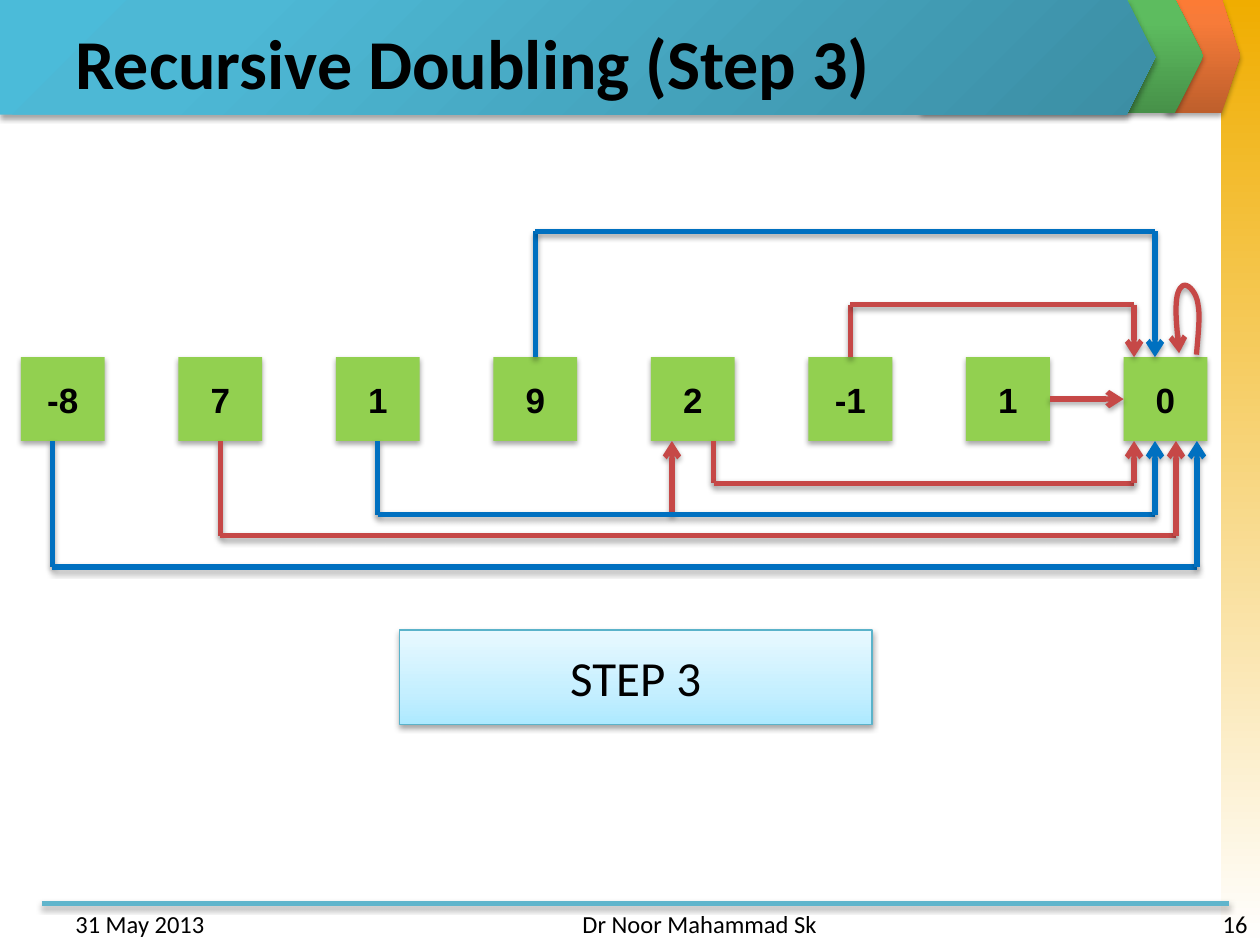
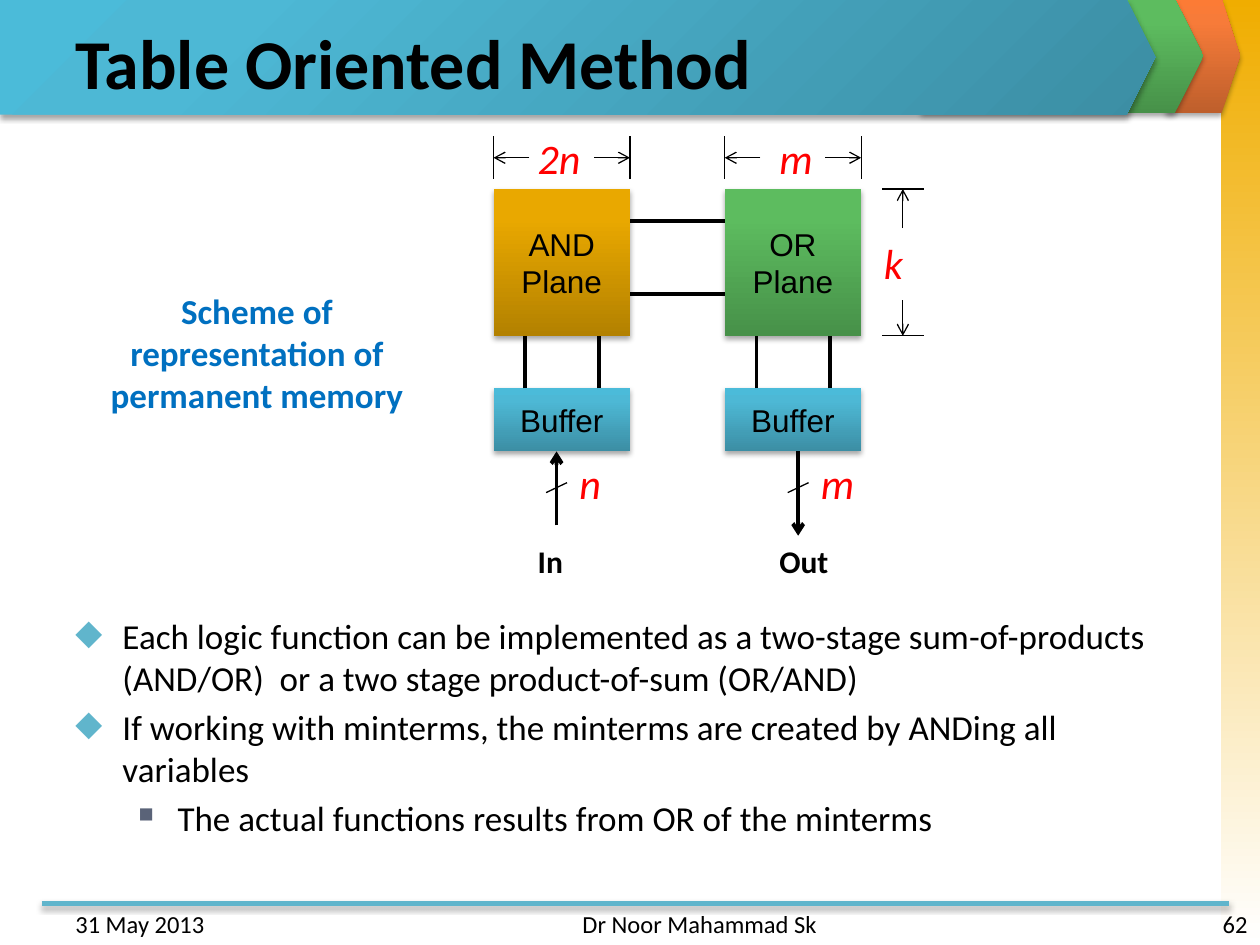
from lxml import etree
from pptx import Presentation
from pptx import util as u
from pptx.dml.color import RGBColor
from pptx.enum import shapes, text
from pptx.oxml import ns

C = {"black": "000000", "blue": "0070C0", "red": "C64847", "label": "FF0000",
     "cell": "92D050", "rule": "60B5CC", "step": "5BB3CA", "sub": "5A6378"}
# Gradients: (position, colour) stops, then the angle or "corner"
GRAD = {"strip": ([(0, "F0AD00"), (100, "FFFFFF")], 90),
        "orange": ([(0, "BE5F2C"), (80, "F77B39"), (100, "FC7B35")], 270),
        "green": ([(0, "479149"), (80, "5DBC5F"), (100, "5BBF5E")], 270),
        "amber": ([(0, "B38100"), (80, "E9A800"), (100, "EAA800")], 270),
        "teal": ([(0, "3C8EA4"), (80, "4DB8D5"), (100, "4BBBD9")], 270),
        "band": ([(0, "3C8EA4"), (80, "4DB8D5"), (100, "4BBBD9")], "corner"),
        "ice": ([(0, "ADE9FF"), (35, "C5EFFF"), (100, "E9F9FF")], 270)}


def fmt(size, name="Calibri", **more):
    return {"size": u.Pt(size), "name": name, **more}


F = {"title": fmt(40, bold=True), "footer": fmt(14), "step": fmt(28), "body": fmt(20),
     "cell": fmt(20, "Arial", bold=True), "block": fmt(18, "Arial"),
     "dim": fmt(24, italic=True), "port": fmt(18, bold=True), "caption": fmt(20, bold=True)}
AL = text.PP_ALIGN
RECT = shapes.MSO_SHAPE.RECTANGLE


def rgb(key):
    return RGBColor.from_string(C[key])


def sub(parent, tag, **attrs):
    return etree.SubElement(parent, ns.qn(tag), {k: str(v) for k, v in attrs.items()})


# Basic parts
def write(p, words, style, color="black", align=AL.LEFT):
    p.alignment = align
    r = p.add_run()
    r.text = words
    for key, value in F[style].items():
        setattr(r.font, key, value)
    r.font.color.rgb = rgb(color)


def effects(sp, shadow):
    sp_pr = sp._element.spPr
    for old in sp_pr.findall(ns.qn("a:effectLst")):
        sp_pr.remove(old)
    lst = sub(sp_pr, "a:effectLst")
    if shadow:
        drop = sub(lst, "a:outerShdw", blurRad=40000, dist=23000, dir=5400000, rotWithShape=0)
        sub(sub(drop, "a:srgbClr", val=C["black"]), "a:alpha", val=35000)


def gradient(sp, key):
    stops, angle = GRAD[key]
    fill = etree.Element(ns.qn("a:gradFill"), rotWithShape="1")
    lst = sub(fill, "a:gsLst")
    for pos, color in stops:
        sub(sub(lst, "a:gs", pos=pos * 1000), "a:srgbClr", val=color)
    if angle == "corner":
        sub(sub(fill, "a:path", path="circle"), "a:fillToRect", l=100000, t=100000)
    else:
        sub(fill, "a:lin", ang=angle * 60000, scaled=0)
    sp._element.spPr.find(ns.qn("a:prstGeom")).addnext(fill)


def block(s, x, y, w, h, fill, words="", style="block", line=None, kind=RECT, shadow=True):
    sp = s.shapes.add_shape(kind, u.Cm(x), u.Cm(y), u.Cm(w), u.Cm(h))
    if fill in GRAD:
        gradient(sp, fill)
    else:
        sp.fill.solid()
        sp.fill.fore_color.rgb = rgb(fill)
    if line:
        sp.line.color.rgb = rgb(line)
        sp.line.width = u.Pt(0.75)
    else:
        sp.line.fill.background()
    effects(sp, shadow)
    if words:
        sp.text_frame.word_wrap = True
        sp.text_frame.vertical_anchor = text.MSO_ANCHOR.MIDDLE
        write(sp.text_frame.paragraphs[0], words, style, align=AL.CENTER)
    return sp


def stroke(sp, color, width, arrow, shadow):
    sp.line.color.rgb = rgb(color)
    sp.line.width = u.Pt(width)
    if arrow:
        sub(sp.line._get_or_add_ln(), "a:tailEnd", type="arrow")
    effects(sp, shadow)


def line(s, x1, y1, x2, y2, color="black", width=0.75, arrow=False, shadow=False):
    sp = s.shapes.add_connector(shapes.MSO_CONNECTOR.STRAIGHT,
                                u.Cm(x1), u.Cm(y1), u.Cm(x2), u.Cm(y2))
    stroke(sp, color, width, arrow, shadow)


def label(s, x, y, w, h, words, style, color="black", align=AL.LEFT, wrap=True):
    tf = s.shapes.add_textbox(u.Cm(x), u.Cm(y), u.Cm(w), u.Cm(h)).text_frame
    tf.word_wrap = wrap
    if not wrap:
        tf.auto_size = text.MSO_AUTO_SIZE.SHAPE_TO_FIT_TEXT
    write(tf.paragraphs[0], words, style, color, align)


# Shared bands and footer rule, moved to the master
def master_frame(prs, s):
    block(s, 24.61, 0, 0.79, 19.05, "strip", shadow=False)
    bands = [(23.5, -0.03, 1.5, "orange"), (18.57, -0.03, 5.69, "green")]
    for x, y, w, fill in bands:
        arrow_band(s, x, y, w, fill)
    line(s, 0.84, 18.21, 24.77, 18.21, "rule", 3, shadow=True)
    arrow_band(s, 0, 0, 23.29, "band")
    tree = prs.slide_master.shapes._spTree
    parts = [sp._element for sp in s.shapes if not sp.is_placeholder]
    for i, el in enumerate(parts):
        el.xpath(".//p:cNvPr")[0].set("id", str(20 + i))
        tree.insert(2 + i, el)


def arrow_band(s, x, y, w, fill):
    sp = block(s, x, y, w, 2.31, fill, kind=shapes.MSO_SHAPE.PENTAGON)
    sp.adjustments[0] = 0.25


def title_and_footer(s, title, number):
    sp = s.shapes.title
    sp.left, sp.top, sp.width, sp.height = u.Cm(1.27), u.Cm(0.36), u.Cm(22.86), u.Cm(1.75)
    tf = sp.text_frame
    tf.auto_size = text.MSO_AUTO_SIZE.NONE
    tf.vertical_anchor = text.MSO_ANCHOR.MIDDLE
    write(tf.paragraphs[0], title, "title")
    for x, w, words, align in [(1.27, 5.93, "31 May 2013", AL.LEFT),
                               (8.68, 8.04, "Dr Noor Mahammad Sk", AL.RIGHT),
                               (19.47, 5.93, number, AL.RIGHT)]:
        label(s, x, 18.2, w, 0.64, words, "footer", align=align)


# Row of cells, with routes that all lead to the last one
def doubling_diagram(s, x, y, w, values):
    size = 1.69
    pitch = (w - size) / (len(values) - 1)
    top, bottom = y + 2.54, y + 2.54 + size
    thick = {"width": 3, "shadow": True}
    last = len(values) - 1

    def at(cell, eighths):
        return x + cell * pitch + size * eighths / 8

    for i, value in enumerate(values):
        block(s, at(i, 0), top, size, size, "cell", value, "cell")

    line(s, at(4, 2), y + 5.72, at(4, 2), bottom, "red", arrow=True, **thick)
    # start cell, start and end in eighths of a cell, lane, colour
    routes = [(0, 3, 7, 6.77, "blue"), (1, 4, 5, 6.14, "red"), (2, 4, 3, 5.72, "blue"),
              (4, 6, 1, 5.08, "red"), (5, 4, 1, 1.48, "red"), (3, 4, 3, 0, "blue")]
    for cell, begin, end, lane, color in routes:
        edge = bottom if y + lane > bottom else top
        x1, x2 = at(cell, begin), at(last, end)
        line(s, x1, edge, x1, y + lane, color, **thick)
        line(s, x1, y + lane, x2, y + lane, color, **thick)
        line(s, x2, y + lane, x2, edge, color, arrow=True, **thick)
    middle = top + size / 2
    line(s, at(last - 1, 8), middle, at(last, 0), middle, "red", arrow=True, **thick)
    self_loop(s, at(last, 0), top)


def self_loop(s, x, y):
    # Start point, then three Bezier points for each curve
    points = [(1.47, -0.05), (1.5, -0.43), (1.55, -0.84), (1.5, -1.07),
              (1.47, -1.3), (1.32, -1.45), (1.24, -1.45),
              (1.19, -1.47), (1.09, -1.37), (1.07, -1.17),
              (1.04, -0.94), (1.09, -0.36), (1.12, -0.18),
              (1.12, 0), (1.12, -0.03), (1.12, -0.08)]
    points = [(u.Cm(x + dx), u.Cm(y + dy)) for dx, dy in points]
    builder = s.shapes.build_freeform(*points[0], scale=1.0)
    builder.add_line_segments(points[1:], close=False)
    sp = builder.convert_to_shape()
    outline = sp._element.spPr.find(".//" + ns.qn("a:path"))
    segments = outline.findall(ns.qn("a:lnTo"))
    for i in range(0, len(segments), 3):
        curve = sub(outline, "a:cubicBezTo")
        for segment in segments[i:i + 3]:
            curve.append(segment[0])
            outline.remove(segment)
    sp.fill.background()
    stroke(sp, "red", 3, True, True)


# Two planes with their buffers, dimensions and ports
def memory_diagram(s, x, y):
    w, right = 2.75, x + 4.66
    plane, plane_end, buffer, buffer_end = y + 1.27, y + 4.23, y + 5.29, y + 6.56
    for left, fill, words in [(x, "amber", "AND Plane"), (right, "green", "OR Plane")]:
        block(s, left, plane, w, plane_end - plane, fill, words)
        block(s, left, buffer, w, buffer_end - buffer, "teal", "Buffer")
        for dx in (0.64, 2.12):
            line(s, left + dx, buffer, left + dx, plane_end, width=2.25)
        for edge, inward in [(left, 0.72), (left + w, -0.72)]:
            line(s, edge, y + 0.21, edge, y + 1.06)
            line(s, edge + inward, y + 0.64, edge, y + 0.64, arrow=True)
    for dy in (1.91, 3.39):
        line(s, x + w, y + dy, right, y + dy, width=2.25)

    # Ports
    for px, y1, y2 in [(x + 1.27, y + 8.05, buffer_end), (right + 1.48, buffer_end, y + 8.26)]:
        line(s, px, y1, px, y2, width=2.25, arrow=True)
        line(s, px - 0.21, y + 7.39, px + 0.21, y + 7.19)

    # Height of the planes
    for edge, start in [(plane, y + 2.06), (plane_end, y + 3.51)]:
        line(s, x + 7.83, edge, x + 8.68, edge)
        line(s, x + 8.25, start, x + 8.25, edge, arrow=True)

    for lx, ly, lw, words in [(x + 0.64, 0, 1.4, "2n"), (right + 0.85, 0, 1.17, "m"),
                              (x + 1.48, 6.55, 0.97, "n"), (right + 1.69, 6.55, 1.17, "m"),
                              (x + 7.62, 2.12, 0.89, "k")]:
        label(s, lx, y + ly, lw, 1.27, words, "dim", "label", wrap=False)
    for lx, lw, words in [(x + 0.64, 1.04, "In"), (right + 0.85, 1.57, "Out")]:
        label(s, lx, y + 8.27, lw, 1.02, words, "port", wrap=False)


def bullet_list(s, x, y, w, h, items):
    # margin, hanging indent, bullet colour, bullet size, bullet
    levels = [(0.95, 0.95, "rule", 100, "◆"), (2.06, 0.79, "sub", 60, "■")]
    tf = s.shapes.add_textbox(u.Cm(x), u.Cm(y), u.Cm(w), u.Cm(h)).text_frame
    tf.word_wrap = True
    for i, (level, words) in enumerate(items):
        p = tf.add_paragraph() if i else tf.paragraphs[0]
        margin, hang, color, size, char = levels[level]
        write(p, words, "body")
        p.level = level
        p.space_before = u.Pt(4)
        p_pr = p._p.get_or_add_pPr()
        p_pr.set("marL", str(u.Cm(margin)))
        p_pr.set("indent", str(-u.Cm(hang)))
        sub(sub(p_pr, "a:buClr"), "a:srgbClr", val=C[color])
        sub(p_pr, "a:buSzPct", val=size * 1000)
        sub(p_pr, "a:buChar", char=char)


prs = Presentation()
prs.slide_width, prs.slide_height = u.Cm(25.4), u.Cm(19.05)
title_only = prs.slide_layouts[5]

# Slide: recursive doubling
s = prs.slides.add_slide(title_only)
master_frame(prs, s)
title_and_footer(s, "Recursive Doubling (Step 3)", "16")
block(s, 8.05, 12.7, 9.53, 1.91, "ice", "STEP 3", "step", line="step")
doubling_diagram(s, 0.42, 4.66, 23.92, ["-8", "7", "1", "9", "2", "-1", "1", "0"])

# Slide: table oriented method
s = prs.slides.add_slide(title_only)
title_and_footer(s, "Table Oriented Method", "62")
bullet_list(s, 1.27, 12.27, 22.86, 4.75, [
    (0, "Each logic function can be implemented as a two-stage sum-of-products "
        "(AND/OR)  or a two stage product-of-sum (OR/AND)"),
    (0, "If working with minterms, the minterms are created by ANDing all variables"),
    (1, "The actual functions results from OR of the minterms")])
memory_diagram(s, 9.95, 2.54)
label(s, 1.47, 5.72, 7.42, 2.82, "Scheme of representation of permanent memory",
      "caption", "blue", AL.CENTER)

prs.save("out.pptx")
